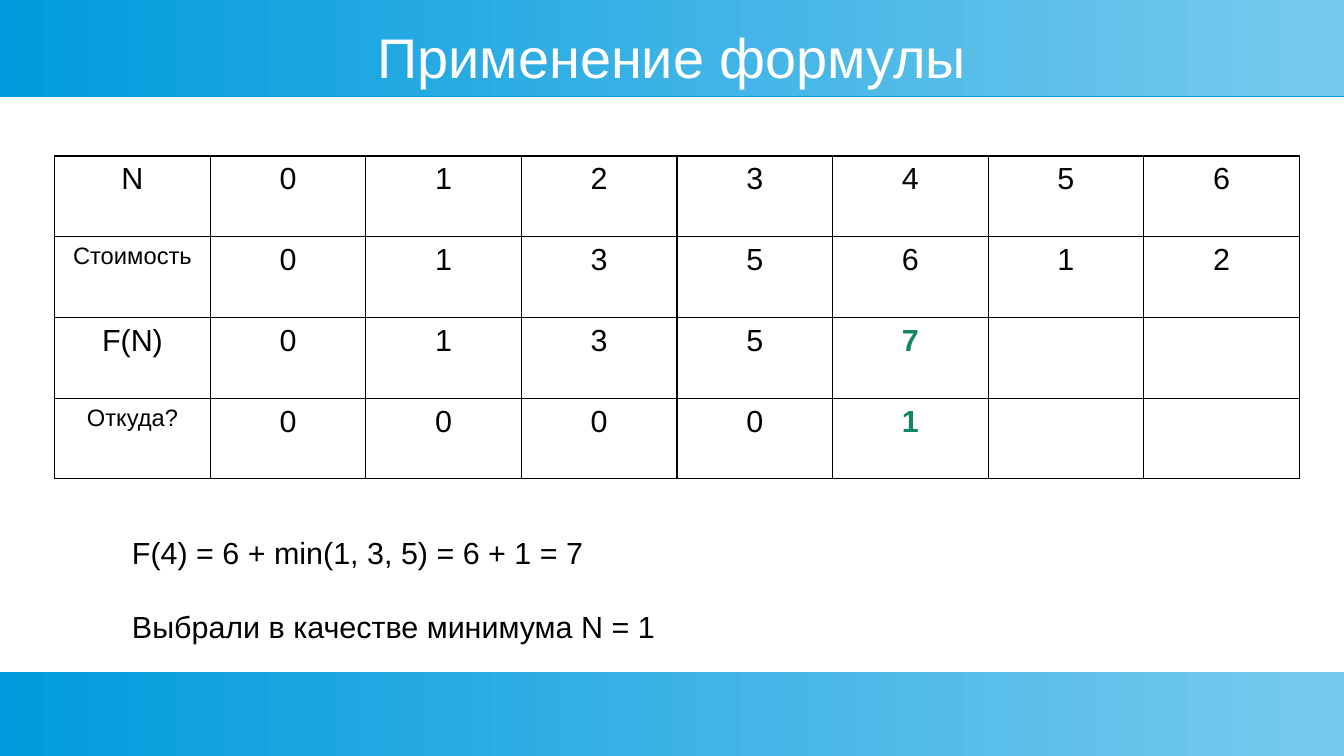
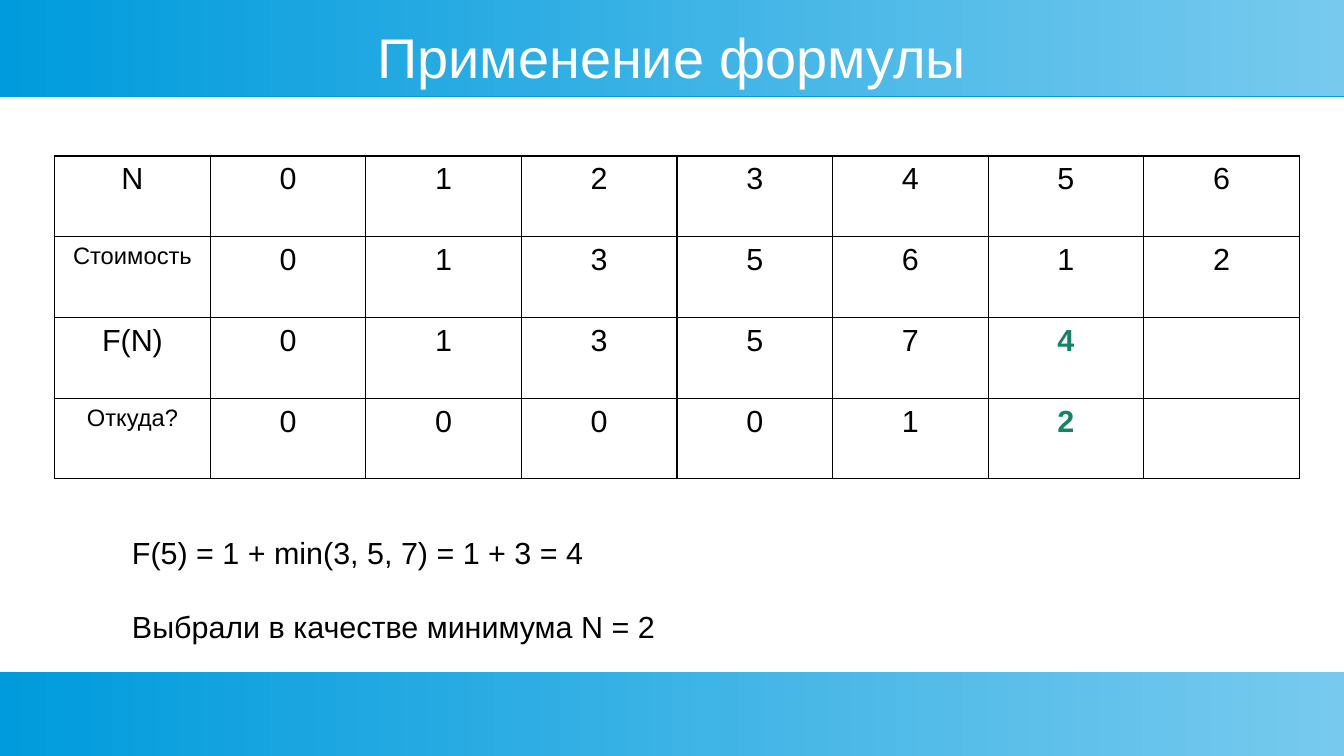
from lxml.etree import SubElement
from pptx import Presentation
from pptx.dml.color import RGBColor
from pptx.enum.shapes import MSO_SHAPE
from pptx.enum.text import MSO_ANCHOR, PP_ALIGN
from pptx.oxml import parse_xml
from pptx.oxml.ns import nsdecls, qn
from pptx.util import Cm, Pt

COLORS = {
    "blue": "009BDD",
    "light_blue": "77CAEE",
    "title": "FFFFFF",
    "text": "000000",
    "result": "158466",
}
FONT = "Arial"
WIDTH, HEIGHT = 28, 15.75
TITLE = "Применение формулы"
HEADER_BOX = (0, 0, WIDTH, 2)
FOOTER_BOX = (0, 14, WIDTH, 1.75)
TITLE_BOX = (1, 0.5, 26, 1.32)
TABLE_BOX = (1.14, 3.25, 25.93, 6.73)
EXPLANATION_BOX = (2.5, 11, 22, 2.4)

PRICES = [0, 1, 3, 5, 6, 1, 2]
TOTALS = [0, 1, 3, 5, 7, 4]
SOURCES = [0, 0, 0, 0, 1, 2]
SMALL_LABELS = ("Стоимость", "Откуда?")

STEPS = [
    (4, "F(4) = 6 + min(1, 3, 5) = 6 + 1 = 7"),
    (5, "F(5) = 1 + min(3, 5, 7) = 1 + 3 = 4"),
]


def add_run(paragraph, text, size, color="text", bold=False):
    run = paragraph.add_run()
    run.text = text
    run.font.name = FONT
    run.font.size = Pt(size)
    run.font.bold = bold
    run.font.color.rgb = RGBColor.from_string(COLORS[color])


def add_band(slide, box):
    band = slide.shapes.add_shape(MSO_SHAPE.RECTANGLE, *map(Cm, box))
    band.line.fill.background()
    band.fill.gradient()
    band.fill.gradient_angle = 180
    for stop, color in zip(band.fill.gradient_stops, ("light_blue", "blue")):
        stop.color.rgb = RGBColor.from_string(COLORS[color])
    band.shadow.inherit = False
    effects = band.element.spPr.find(qn("a:effectLst"))
    shadow = SubElement(effects, qn("a:outerShdw"), dist=str(Pt(0.9)),
                        dir="5400000", algn="tl", rotWithShape="0")
    SubElement(shadow, qn("a:srgbClr"), val=COLORS["blue"])


def add_text_frame(slide, box, inset_x, inset_y, anchor):
    frame = slide.shapes.add_textbox(*map(Cm, box)).text_frame
    frame.word_wrap = True
    frame.vertical_anchor = anchor
    frame.margin_left = frame.margin_right = Cm(inset_x)
    frame.margin_top = frame.margin_bottom = Cm(inset_y)
    return frame


def add_title(slide, box):
    frame = add_text_frame(slide, box, 0, 0, MSO_ANCHOR.MIDDLE)
    heading = frame.paragraphs[0]
    heading.alignment = PP_ALIGN.CENTER
    add_run(heading, TITLE, 33, "title")


def style_cell(cell):
    cell.margin_left = cell.margin_right = Cm(0.1)
    cell.margin_top = cell.margin_bottom = Cm(0.13)
    properties = cell._tc.get_or_add_tcPr()
    for side in ("lnL", "lnR", "lnT", "lnB"):
        properties.append(parse_xml(
            f'<a:{side} {nsdecls("a")} w="{Pt(0.75)}"><a:solidFill>'
            f'<a:srgbClr val="{COLORS["text"]}"/></a:solidFill></a:{side}>'))
    cell.fill.background()


def add_cost_table(slide, box, step):
    rows = [
        ["N", *range(len(PRICES))],
        ["Стоимость", *PRICES],
        ["F(N)", *TOTALS[:step + 1]],
        ["Откуда?", *SOURCES[:step + 1]],
    ]
    column_count = len(rows[0])
    costs = slide.shapes.add_table(len(rows), column_count, *map(Cm, box)).table
    costs.first_row = costs.horz_banding = False
    for column in costs.columns:
        column.width = Cm(box[2] / column_count)
    for row in costs.rows:
        row.height = Cm(box[3] / len(rows))
    for cell in costs.iter_cells():
        style_cell(cell)
    for row_index, values in enumerate(rows):
        for column_index, value in enumerate(values):
            entry = costs.cell(row_index, column_index).text_frame.paragraphs[0]
            entry.alignment = PP_ALIGN.CENTER
            is_result = row_index >= 2 and column_index == step + 1
            add_run(entry, str(value), 14 if value in SMALL_LABELS else 18,
                    "result" if is_result else "text", is_result)


def add_explanation(slide, box, formula, source):
    frame = add_text_frame(slide, box, 0.25, 0.13, MSO_ANCHOR.TOP)
    add_run(frame.paragraphs[0], formula, 18)
    choice = frame.add_paragraph()
    choice.space_before = Pt(22)
    add_run(choice, f"Выбрали в качестве минимума N = {source}", 18)


def add_step_slide(deck, step, formula):
    slide = deck.slides.add_slide(deck.slide_layouts[6])
    add_band(slide, HEADER_BOX)
    add_band(slide, FOOTER_BOX)
    add_title(slide, TITLE_BOX)
    add_cost_table(slide, TABLE_BOX, step)
    add_explanation(slide, EXPLANATION_BOX, formula, SOURCES[step])


deck = Presentation()
deck.slide_width, deck.slide_height = Cm(WIDTH), Cm(HEIGHT)
for step, formula in STEPS:
    add_step_slide(deck, step, formula)
deck.save("out.pptx")
